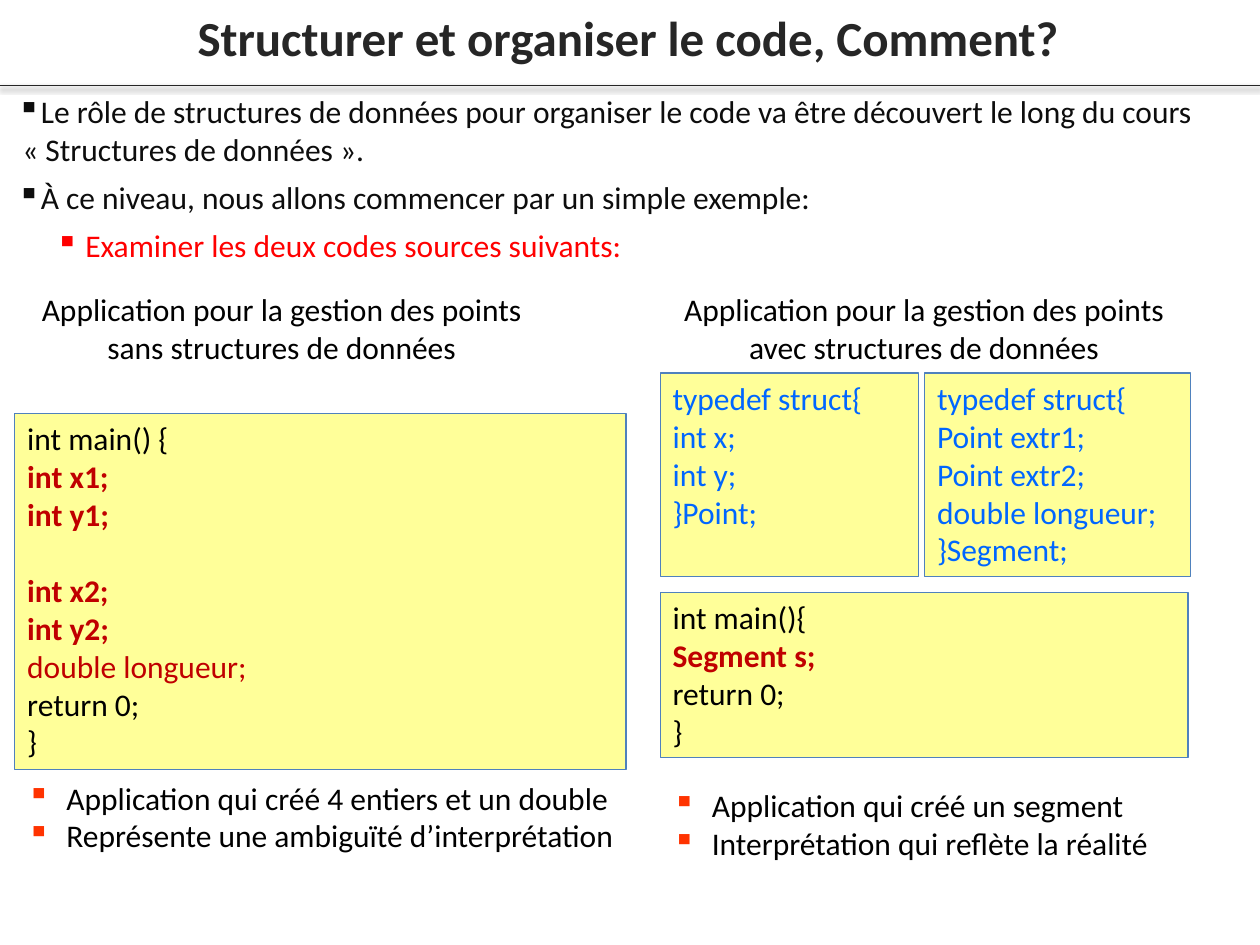
from dataclasses import dataclass
from typing import Optional

from lxml.etree import SubElement
from pptx import Presentation
from pptx.dml.color import RGBColor
from pptx.enum.shapes import MSO_CONNECTOR as Connector, MSO_SHAPE as Preset
from pptx.enum.text import MSO_ANCHOR as Anchor, PP_ALIGN as Align
from pptx.oxml.ns import qn
from pptx.util import Cm, Pt


@dataclass(frozen=True)
class Theme:
    """Colours, font and type sizes of the slide."""
    font: str = "Calibri"
    title_size: int = 28
    text_size: int = 18
    title: str = "262626"
    body: str = "0D0D0D"
    black: str = "000000"
    red: str = "FF0000"
    dark_red: str = "C00000"
    blue: str = "0066FF"
    bullet: str = "FF3300"
    code_fill: str = "FFFF99"
    code_line: str = "4F81BD"
    rule: str = "262626"


THEME = Theme()


@dataclass(frozen=True)
class Box:
    """Position and size in centimetres."""
    left: float
    top: float
    width: float
    height: float

    def lengths(self) -> tuple:
        """Return the four measures as lengths."""
        return Cm(self.left), Cm(self.top), Cm(self.width), Cm(self.height)


@dataclass(frozen=True)
class Line:
    """One line of code and its look."""
    text: str
    color: str = THEME.black
    bold: bool = False
    before: float = 0


@dataclass(frozen=True)
class Column:
    """One half of the comparison."""
    heading: str
    heading_box: Box
    remarks: tuple
    remarks_box: Box


def add_text(frame, text: str, *, color: str = THEME.black, size: int = THEME.text_size,
             bold: bool = False, align: Align = Align.LEFT, before: float = 0,
             after: float = 0, indent: Optional[tuple] = None, level: int = 0,
             bullet_color: Optional[str] = None) -> None:
    """Write a paragraph; an indent (margin, first line) in cm gives it a bullet."""
    first = frame.paragraphs[0]
    paragraph = frame.add_paragraph() if first.runs else first
    paragraph.alignment, paragraph.level = align, level
    paragraph.space_before, paragraph.space_after = Pt(before), Pt(after)
    run = paragraph.add_run()
    run.text = text
    run.font.name, run.font.size, run.font.bold = THEME.font, Pt(size), bold
    run.font.color.rgb = RGBColor.from_string(color)
    if indent:
        properties = paragraph._p.get_or_add_pPr()
        properties.set("marL", str(Cm(indent[0])))
        properties.set("indent", str(Cm(indent[1])))
        if bullet_color:
            SubElement(SubElement(properties, qn("a:buClr")), qn("a:srgbClr"), val=bullet_color)
        SubElement(properties, qn("a:buChar"), char="▪")


def add_frame(slide, box: Box):
    """Add a wrapping text box and return its text frame."""
    frame = slide.shapes.add_textbox(*box.lengths()).text_frame
    frame.word_wrap = True
    return frame


def add_code(slide, box: Box, lines: tuple) -> None:
    """Add a yellow rectangle with lines of code."""
    shape = slide.shapes.add_shape(Preset.RECTANGLE, *box.lengths())
    shape.shadow.inherit = False
    shape.fill.solid()
    shape.fill.fore_color.rgb = RGBColor.from_string(THEME.code_fill)
    shape.line.color.rgb = RGBColor.from_string(THEME.code_line)
    shape.line.width = Pt(0.75)
    frame = shape.text_frame
    frame.word_wrap, frame.vertical_anchor = True, Anchor.TOP
    for line in lines:
        add_text(frame, line.text, color=line.color, bold=line.bold, before=line.before)


def add_rule(slide, top: float, width: float) -> None:
    """Add the line under the title with its soft shadow."""
    rule = slide.shapes.add_connector(Connector.STRAIGHT, Cm(0), Cm(top), Cm(width), Cm(top))
    rule.line.color.rgb = RGBColor.from_string(THEME.rule)
    rule.line.width = Pt(0.5)
    effects = SubElement(rule._element.spPr, qn("a:effectLst"))
    shadow = SubElement(effects, qn("a:outerShdw"), blurRad=str(Pt(3.1)), dist=str(Pt(1.6)),
                        dir="5400000", rotWithShape="0")
    color = SubElement(shadow, qn("a:srgbClr"), val=THEME.black)
    SubElement(color, qn("a:alpha"), val="38000")


def add_column(slide, column: Column) -> None:
    """Add the heading and the remarks of one half."""
    add_text(add_frame(slide, column.heading_box), column.heading, align=Align.CENTER)
    frame = add_frame(slide, column.remarks_box)
    for remark in column.remarks:
        add_text(frame, remark, indent=(0.79, -0.79), bullet_color=THEME.bullet)


def blue_lines(*texts: str) -> tuple:
    """Return code lines in blue."""
    return tuple(Line(text, THEME.blue) for text in texts)


def red_line(text: str, before: float = 0) -> Line:
    """Return a bold dark red code line."""
    return Line(text, THEME.dark_red, True, before)


RIGHT, RIGHT_WIDTH = 13.31, 10.64
INTRODUCTION = (
    ("Le rôle de structures de données pour organiser le code va être découvert le long "
     "du cours «\u00a0Structures de données\u00a0».", THEME.body, 0),
    ("À ce niveau, nous allons commencer par un simple exemple:", THEME.body, 0),
    ("Examiner les deux codes sources suivants:", THEME.red, 1),
)
CODES = (
    (Box(0.3, 8.33, 12.32, 7.19), (
        Line("int main() {"), red_line("int x1;"), red_line("int y1;"),
        red_line("int x2;", before=22), red_line("int y2;"),
        Line("double longueur;", THEME.dark_red), Line("return 0;"), Line("}"))),
    (Box(RIGHT, 11.94, RIGHT_WIDTH, 3.33), (
        Line("int main(){"), red_line("Segment s;"), Line("return 0;"), Line("}"))),
    (Box(RIGHT, 7.52, 5.21, 4.11),
     blue_lines("typedef struct{", "int x;", "int y;", "}Point;")),
    (Box(18.64, 7.52, 5.36, 4.11),
     blue_lines("typedef struct{", "Point extr1;", "Point extr2;", "double longueur;",
                "}Segment;")),
)
COLUMNS = (
    Column("Application pour la gestion des points sans structures de données",
           Box(0.36, 5.72, RIGHT_WIDTH, 1.8),
           ("Application qui créé 4 entiers et un double",
            "Représente une ambiguïté d’interprétation"),
           Box(0.3, 15.57, 12.32, 2.57)),
    Column("Application pour la gestion des points avec structures de données",
           Box(RIGHT, 5.72, RIGHT_WIDTH, 1.8),
           ("Application qui créé un segment", "Interprétation qui reflète la réalité"),
           Box(RIGHT, 15.72, RIGHT_WIDTH, 1.8)),
)


def main() -> None:
    """Build and save the slide."""
    presentation = Presentation()
    presentation.slide_width, presentation.slide_height = Cm(25.4), Cm(19.05)
    slide = presentation.slides.add_slide(presentation.slide_layouts[6])
    add_rule(slide, 1.73, 25.4)
    add_text(add_frame(slide, Box(-0.08, 0.03, 25.48, 1.45)),
             "Structurer et organiser le code, Comment?", color=THEME.title,
             size=THEME.title_size, bold=True, align=Align.CENTER)
    body = add_frame(slide, Box(0.1, 1.73, 25.3, 3.76))
    for text, color, level in INTRODUCTION:
        add_text(body, text, color=color, after=6, level=level,
                 indent=(0.1 + 1.27 * level, -0.6))
    for box, lines in CODES:
        add_code(slide, box, lines)
    for column in COLUMNS:
        add_column(slide, column)
    presentation.save("out.pptx")


main()
